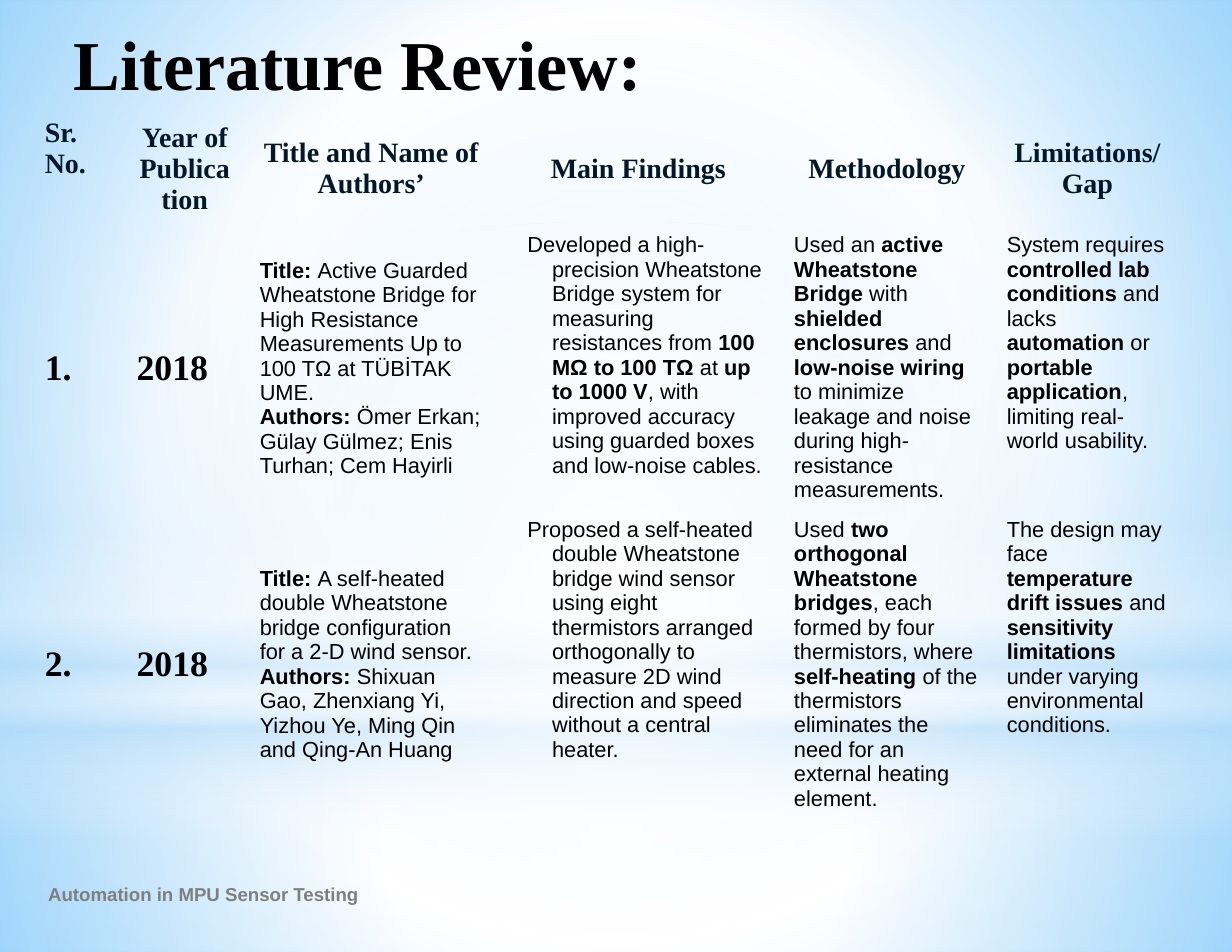
import pptx
import pptx.util
import pptx.dml.color
import pptx.enum.shapes
import pptx.enum.text
import pptx.oxml.ns
from lxml import etree

Inches = pptx.util.Inches
Pt = pptx.util.Pt
SHAPES = pptx.enum.shapes.MSO_SHAPE
ALIGN = pptx.enum.text.PP_ALIGN
ANCHOR = pptx.enum.text.MSO_ANCHOR
qn = pptx.oxml.ns.qn

COLORS = {
    "ink": "000000",
    "header": "021828",
    "footer": "7F7F7F",
    "white": "FFFFFF",
    "haze": "B4DCFA",
    "sky": "99D4FE",
    "deep": "54BDFF",
}
SERIF, SANS = "Times New Roman", "Arial"
NO_GRID_STYLE = "{2D5ABB26-0587-4C30-8999-92F81FD0307C}"


class SlideBuilder:
    """Holds the style and the current slide."""

    def __init__(self, page):
        self.page = page

    def gradient(self, fill, element, stops, angle=None):
        """Stops are (position, colour, opacity); no angle means circular."""
        fill.gradient()
        grad = element.find(".//" + qn("a:gradFill"))
        for child in list(grad):
            grad.remove(child)
        stop_list = etree.SubElement(grad, qn("a:gsLst"))
        for position, color, opacity in stops:
            stop = etree.SubElement(stop_list, qn("a:gs"), pos=str(position * 1000))
            tint = etree.SubElement(stop, qn("a:srgbClr"), val=COLORS[color])
            if opacity < 100:
                etree.SubElement(tint, qn("a:alpha"), val=str(opacity * 1000))
        if angle is None:
            circle = etree.SubElement(grad, qn("a:path"), path="circle")
            sides = dict.fromkeys("ltrb", "50000")
            etree.SubElement(circle, qn("a:fillToRect"), **sides)
        else:
            etree.SubElement(grad, qn("a:lin"), ang=str(angle * 60000), scaled="0")

    def background(self, stops):
        self.gradient(self.page.background.fill, self.page.element, stops)

    def glow(self, kind, top, height, stops, angle=None):
        shape = self.page.shapes.add_shape(
            kind, 0, Inches(top), Inches(11), Inches(height))
        shape.shadow.inherit = False
        shape.line.fill.background()
        self.gradient(shape.fill, shape.element, stops, angle)

    def fill_para(self, para, text, size, font, color, bold=False, align=ALIGN.LEFT):
        """Text between double asterisks is bold."""
        para.alignment = align
        para.font.size = Pt(size)
        para.font.name = font
        para.font.color.rgb = pptx.dml.color.RGBColor.from_string(COLORS[color])
        para.font.bold = bold
        for index, part in enumerate(text.split("**")):
            if part:
                span = para.add_run()
                span.text = part
                if index % 2:
                    span.font.bold = True

    def place(self, box, left, top, width, height, margins):
        box.left, box.top = Inches(left), Inches(top)
        box.width, box.height = Inches(width), Inches(height)
        frame = box.text_frame
        frame.word_wrap = True
        frame.auto_size = pptx.enum.text.MSO_AUTO_SIZE.NONE
        frame.vertical_anchor = ANCHOR.TOP
        frame.margin_left = frame.margin_right = Inches(margins[0])
        frame.margin_top = frame.margin_bottom = Inches(margins[1])
        return frame.paragraphs[0]

    def title(self, text):
        box = self.page.shapes.title
        para = self.place(box, 0.55, 0.05, 7.7, 1.11, (0.11, 0.13))
        self.fill_para(para, text, 45, SERIF, "ink", bold=True)
        box.element.getparent().append(box.element)

    def footer(self, text):
        box = self.page.shapes.add_textbox(0, 0, 0, 0)
        para = self.place(box, 0.43, 7.88, 2.98, 0.2, (0, 0))
        self.fill_para(para, text, 12, SANS, "footer", bold=True)

    def cell(self, cell, row, column, text):
        cell.fill.background()
        cell.margin_left = cell.margin_right = Inches(0.12)
        cell.margin_top = cell.margin_bottom = Inches(0.06)
        centred = column > 0 if row == 0 else column < 3
        cell.vertical_anchor = ANCHOR.MIDDLE if centred else ANCHOR.TOP
        frame = cell.text_frame
        for index, line in enumerate(text.split("\n")):
            para = frame.add_paragraph() if index else frame.paragraphs[0]
            if row == 0:
                align = ALIGN.CENTER if column else ALIGN.LEFT
                self.fill_para(para, line, 18, SERIF, "header", True, align)
            elif column < 2:
                self.fill_para(para, line, 23, SERIF, "ink", True, ALIGN.JUSTIFY)
            else:
                if column == 3:  # hanging indent for the findings
                    properties = para._p.get_or_add_pPr()
                    properties.set("marL", str(Inches(0.38)))
                    properties.set("indent", str(Inches(-0.22)))
                self.fill_para(para, line, 14, SANS, "ink")

    def table(self, rows, widths, heights):
        holder = self.page.shapes.add_table(
            len(rows), len(widths), Inches(0.28), Inches(0.99),
            Inches(sum(widths)), Inches(sum(heights)))
        grid = holder.table
        grid.first_row = grid.horz_banding = False
        grid._tbl.tblPr.find(qn("a:tableStyleId")).text = NO_GRID_STYLE
        for column, width in zip(grid.columns, widths):
            column.width = Inches(width)
        for line, height in zip(grid.rows, heights):
            line.height = Inches(height)
        for row, texts in enumerate(rows):
            for column, text in enumerate(texts):
                self.cell(grid.cell(row, column), row, column, text)


REVIEW = [
    ["Sr. No.", "Year of Publication", "Title and Name of Authors’",
     "Main Findings", "Methodology", "Limitations/Gap"],
    ["1.", "2018",
     "**Title: **Active Guarded Wheatstone Bridge for High Resistance "
     "Measurements Up to 100 TΩ at TÜBİTAK UME.\n"
     "**Authors: **Ömer Erkan; Gülay Gülmez; Enis Turhan; Cem Hayirli",
     "Developed a high-precision Wheatstone Bridge system for measuring "
     "resistances from **100 MΩ to 100 TΩ** at **up to 1000 V**, with improved "
     "accuracy using guarded boxes and low-noise cables.",
     "Used an **active Wheatstone Bridge** with **shielded enclosures** and "
     "**low-noise wiring** to minimize leakage and noise during "
     "high-resistance measurements.",
     "System requires **controlled lab conditions** and lacks **automation** "
     "or **portable application**, limiting real-world usability."],
    ["2.", "2018",
     "**Title: **A self-heated double Wheatstone bridge configuration for a "
     "2-D wind sensor.\n"
     "**Authors: **Shixuan Gao, Zhenxiang Yi, Yizhou Ye, Ming Qin and "
     "Qing-An Huang",
     "Proposed a self-heated double Wheatstone bridge wind sensor using eight "
     "thermistors arranged orthogonally to measure 2D wind direction and "
     "speed without a central heater.",
     "Used **two orthogonal Wheatstone bridges**, each formed by four "
     "thermistors, where **self-heating** of the thermistors eliminates the "
     "need for an external heating element.",
     "The design may face **temperature drift issues** and **sensitivity "
     "limitations** under varying environmental conditions."],
]


def main():
    deck = pptx.Presentation()
    deck.slide_width, deck.slide_height = Inches(11), Inches(8.5)
    builder = SlideBuilder(deck.slides.add_slide(deck.slide_layouts[5]))

    # Sky backdrop
    builder.background([(0, "sky", 100), (60, "white", 100), (100, "deep", 100)])
    builder.glow(SHAPES.RECTANGLE, 6.33, 2.17,
                 [(0, "white", 91), (37, "white", 76), (100, "haze", 79)])
    builder.glow(SHAPES.RECTANGLE, 0, 6.33,
                 [(0, "white", 89), (48, "white", 62), (100, "haze", 79)])
    builder.glow(SHAPES.RECTANGLE, 4.67, 2.83,
                 [(0, "white", 0), (29, "white", 30), (45, "haze", 40),
                  (55, "white", 26), (65, "haze", 60), (100, "white", 0)], angle=90)
    builder.glow(SHAPES.OVAL, 1.98, 6.33,
                 [(0, "white", 100), (56, "white", 0), (100, "white", 0)])

    # Review table, title and footer
    builder.table(REVIEW, widths=[0.82, 1.1, 2.23, 2.54, 1.9, 1.68],
                  heights=[1.03, 2.54, 2.74])
    builder.title("Literature Review:")
    builder.footer("Automation in MPU Sensor Testing")

    deck.save("out.pptx")


if __name__ == "__main__":
    main()
